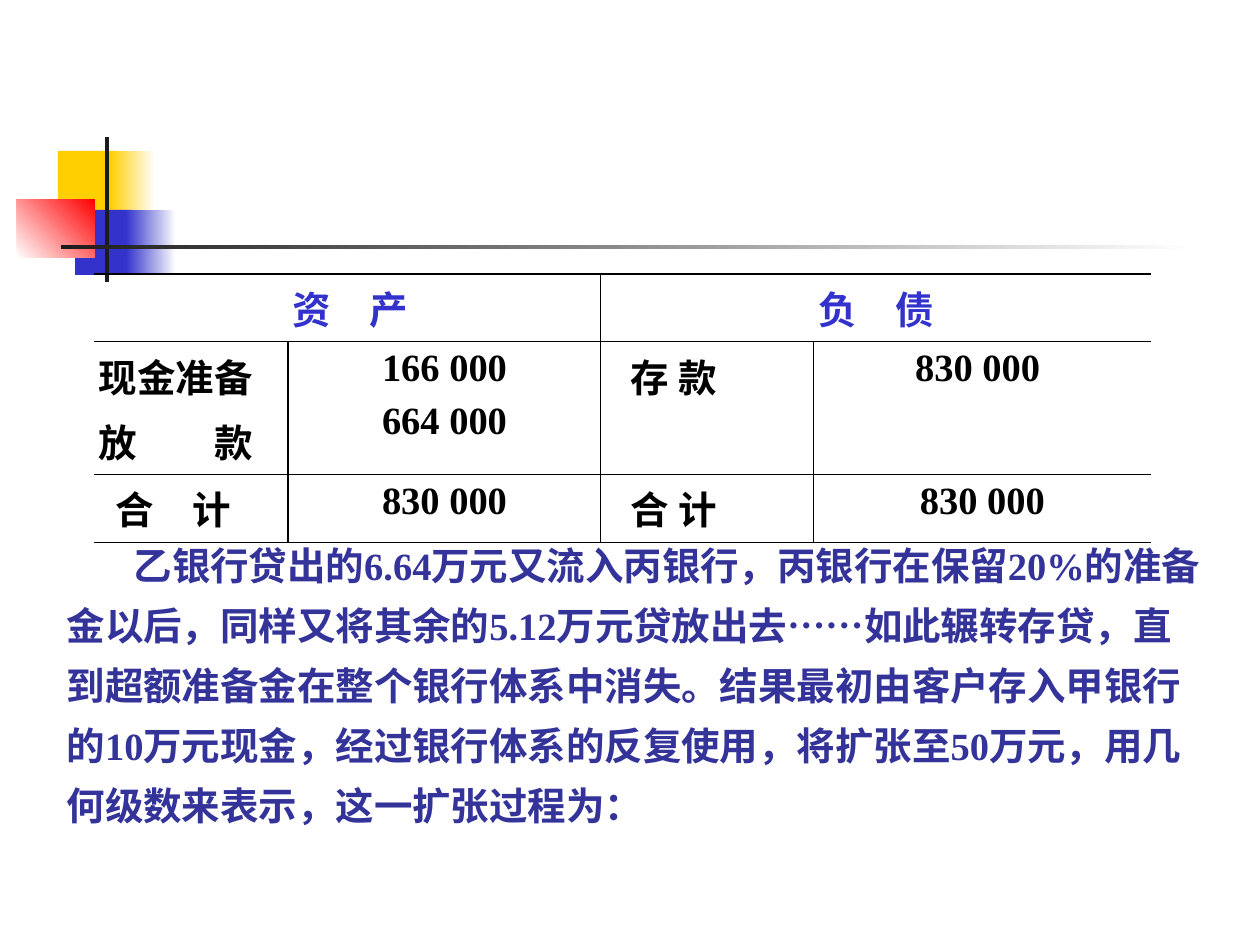
from lxml import etree
from pptx import Presentation
from pptx import util as u
from pptx.dml.color import RGBColor
from pptx.enum import shapes, text
from pptx.oxml import parse_xml
from pptx.oxml.ns import qn

NS = 'xmlns:a="http://schemas.openxmlformats.org/drawingml/2006/main"'
SCALE = 914400 / 126
COLORS = {"yellow": "FFCF01", "blue": "3333CC", "red": "FF0000", "white": "FFFFFF",
          "dark": "1C1C1C", "black": "000000", "navy": "333399", "shade": "C0C0C0"}
SERIF, SANS, CJK = "Times New Roman", "Cabin", "Noto Sans CJK SC"
SHADOW = (f'<a:effectLst {NS}><a:outerShdw dist="38100" dir="2700000" algn="tl">'
          f'<a:srgbClr val="{COLORS["shade"]}"/></a:outerShdw></a:effectLst>')


def px(n):
    return u.Emu(round(n * SCALE))


def rgb(name):
    return RGBColor.from_string(COLORS[name])


class Deck:
    size = u.Pt(22)

    def __init__(self):
        self.prs = Presentation()
        self.prs.slide_width, self.prs.slide_height = px(1260), px(945)
        self.s = self.prs.slides.add_slide(self.prs.slide_layouts[1])
        title = self.s.shapes.title.element
        title.getparent().remove(title)

    def bar(self, x, y, w, h, start, end=None, angle=0):
        sp = self.s.shapes.add_shape(shapes.MSO_SHAPE.RECTANGLE, px(x), px(y), px(w), px(h))
        sp.shadow.inherit = False
        sp.line.fill.background()
        if end is None:
            sp.fill.solid()
            sp.fill.fore_color.rgb = rgb(start)
            return
        sp.fill.gradient()
        sp.fill.gradient_angle = angle
        for stop, position, name in zip(sp.fill.gradient_stops, (0, 1), (start, end)):
            stop.position = position
            stop.color.rgb = rgb(name)

    def style(self, font, name, color):
        font.name, font.size, font.bold = name, self.size, True
        font.color.rgb = rgb(color)

    def east_asian(self, r):
        rpr = r._r.get_or_add_rPr()
        rpr.find(qn("a:latin")).addnext(parse_xml(f'<a:ea {NS} typeface="{CJK}"/>'))

    def borders(self, cell, widths):
        """Widths in points for left, right, top and bottom; 0 hides a side."""
        tcpr = cell._tc.get_or_add_tcPr()
        for i, (side, width) in enumerate(zip("LRTB", widths)):
            ln = etree.Element(qn(f"a:ln{side}"), w=str(u.Pt(width)))
            if width:
                fill = etree.SubElement(ln, qn("a:solidFill"))
                etree.SubElement(fill, qn("a:srgbClr"), val=COLORS["black"])
            else:
                etree.SubElement(ln, qn("a:noFill"))
            tcpr.insert(i, ln)

    def cell(self, cell, lines, color, name, align, indent):
        cell.fill.background()
        cell.margin_left = cell.margin_right = px(5)
        cell.margin_top = cell.margin_bottom = px(6)
        tf = cell.text_frame
        for i, line in enumerate(lines):
            p = tf.paragraphs[0] if i == 0 else tf.add_paragraph()
            p.alignment = align
            if i:
                p.space_before = u.Pt(5.5)
            if indent:
                p._p.get_or_add_pPr().set("marL", str(px(indent)))
            r = p.add_run()
            r.text = line
            self.style(r.font, name, color)
            self.east_asian(r)

    def table(self, x, y, cols, heights, rows, indents):
        frame = self.s.shapes.add_table(len(rows), len(cols), px(x), px(y),
                                        px(sum(cols)), px(sum(heights)))
        t = frame.table
        t.first_row = t.horz_banding = False
        for col, w in zip(t.columns, cols):
            col.width = px(w)
        last = len(rows) - 1
        for i, row in enumerate(rows):
            t.rows[i].height = px(heights[i])
            # Header halves are divided only in the middle
            rules = (0, 0, 0.75, 0, 0) if i == 0 else (0, 0.75, 0.75, 0.75, 0)
            for j, lines in enumerate(row):
                cell = t.cell(i, j)
                number = i > 0 and j % 2
                self.cell(cell, lines, "black" if i else "blue", SERIF if number else SANS,
                          text.PP_ALIGN.CENTER if number else text.PP_ALIGN.LEFT,
                          indents.get((i, j), 0))
                if i == 0:
                    cell.vertical_anchor = text.MSO_ANCHOR.MIDDLE
                self.borders(cell, (rules[j], rules[j + 1], 0.45 if i else 0.75,
                                    0.75 if i == last else 0.45))

    def body(self, x, y, w, h, indent, runs):
        sp = self.s.placeholders[1]
        sp.left, sp.top, sp.width, sp.height = px(x), px(y), px(w), px(h)
        tf = sp.text_frame
        tf.word_wrap, tf.auto_size = True, text.MSO_AUTO_SIZE.NONE
        p = tf.paragraphs[0]
        p.line_spacing, p.space_before = 1.3, u.Pt(0)
        ppr = p._p.get_or_add_pPr()
        ppr.set("marL", "0")
        ppr.set("indent", str(px(indent)))
        etree.SubElement(ppr, qn("a:buNone"))
        for content, name in runs:
            r = p.add_run()
            r.text = content
            self.style(r.font, name, "navy")
            r._r.rPr.find(qn("a:latin")).addprevious(parse_xml(SHADOW))
            self.east_asian(r)


def main():
    d = Deck()

    # Corner ornament
    d.bar(58, 151, 60, 66, "yellow")
    d.bar(110, 151, 45, 66, "yellow", "white")
    d.bar(75, 210, 58, 65, "blue")
    d.bar(126, 210, 50, 65, "blue", "white")
    d.bar(17, 199, 78, 59, "white", "red", 45)
    d.bar(105, 137, 4, 145, "dark")
    d.bar(61, 245, 1134, 4, "dark", "white")

    # Balance sheet
    d.table(94, 274, (194, 313, 213, 337), (57, 112, 57), (
        ([], ["资　产"], [], ["负　债"]),
        (["现金准备", "放　　款"], ["166 000", "664 000"], ["存 款"], ["830 000 "]),
        (["合　计"], ["830 000"], ["合 计"], ["830 000"]),
    ), {(1, 2): 25, (2, 0): 17, (2, 2): 25})

    # Explanation
    d.body(54, 522, 1160, 358, 67, (
        ("乙银行贷出的6.64万元又流入丙银行，丙银行在保留20%的准备金以后，"
         "同样又将其余的5.12万元贷放出去", SERIF),
        ("……", CJK),
        ("如此辗转存贷，直到超额准备金在整个银行体系中消失。结果最初由客户存入甲银行的"
         "10万元现金，经过银行体系的反复使用，将扩张至50万元，用几何级数来表示，"
         "这一扩张过程为：", SERIF),
    ))

    d.prs.save("out.pptx")


if __name__ == "__main__":
    main()
